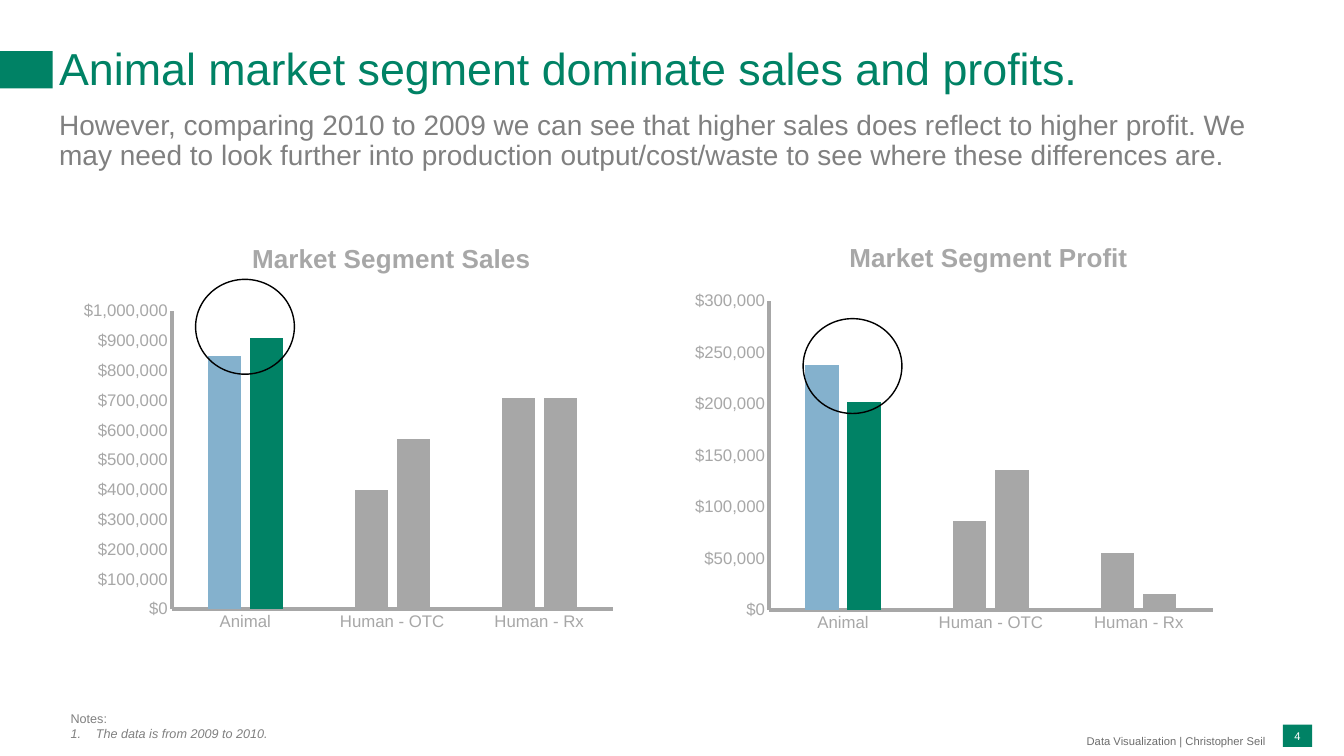
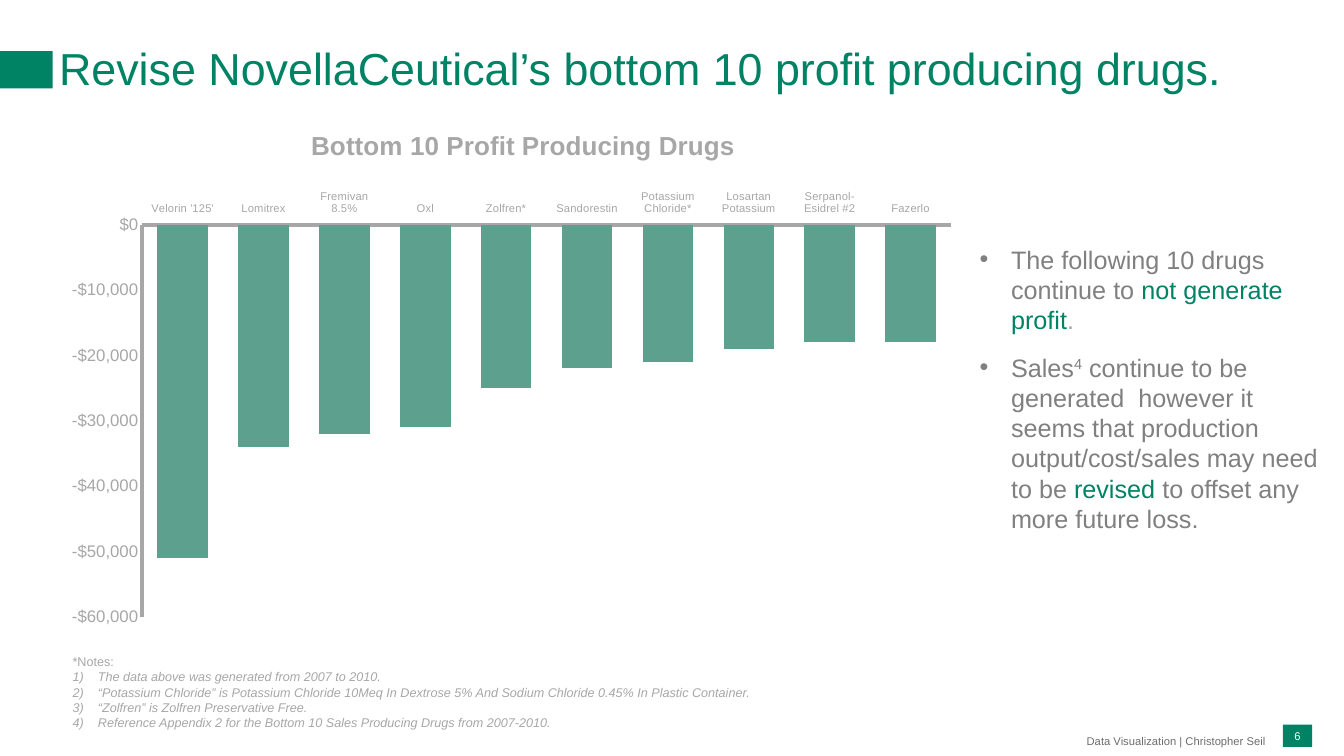
from lxml import etree
from pptx import Presentation
from pptx.chart.data import CategoryChartData
from pptx.dml.color import RGBColor
from pptx.enum.chart import XL_CHART_TYPE, XL_TICK_LABEL_POSITION, XL_TICK_MARK
from pptx.enum.shapes import MSO_SHAPE
from pptx.enum.text import MSO_ANCHOR, PP_ALIGN
from pptx.oxml.ns import qn
from pptx.util import Cm, Pt

COLUMNS = XL_CHART_TYPE.COLUMN_CLUSTERED
NO_TICKS = XL_TICK_MARK.NONE
LABELS_HIGH = XL_TICK_LABEL_POSITION.HIGH
RECTANGLE, OVAL = MSO_SHAPE.RECTANGLE, MSO_SHAPE.OVAL
MIDDLE, BOTTOM = MSO_ANCHOR.MIDDLE, MSO_ANCHOR.BOTTOM
CENTER, RIGHT = PP_ALIGN.CENTER, PP_ALIGN.RIGHT

GREEN = RGBColor(0x00, 0x82, 0x65)
SOFT_GREEN = RGBColor(0x5D, 0xA0, 0x8E)
BLUE = RGBColor(0x84, 0xB1, 0xCD)
LIGHT_GREY = RGBColor(0xA7, 0xA7, 0xA7)
GREY = RGBColor(0x80, 0x80, 0x80)
FOOTER_GREY = RGBColor(0x6D, 0x6D, 0x6D)
WHITE = RGBColor(0xFF, 0xFF, 0xFF)
BLACK = RGBColor(0x00, 0x00, 0x00)

FONT = "Arial"
FOOTER = "Data Visualization | Christopher Seil"
DOLLARS = '"$"#,##0'

SEGMENTS = ["Animal", "Human - OTC", "Human - Rx"]
SEGMENT_STYLE = dict(categories=SEGMENTS, label_size=12, gap=219, overlap=-27,
                     grid=True, highlight=0)
# Boxes are left, top, width, height in cm; plot and title spots are percent of the chart.
SALES_CHART = dict(
    SEGMENT_STYLE, title="Market Segment Sales", box=(1.83, 5.92, 13.89, 10.21),
    title_spot=(31.7, 0.5), plot_spot=(18, 18.8, 80, 73.6),
    scale=(0, 1000000, 100000),
    series=[("2009", BLUE, [850000, 400000, 710000]),
            ("2010", GREEN, [910000, 570000, 710000])])
PROFIT_CHART = dict(
    SEGMENT_STYLE, title="Market Segment Profit", box=(17.22, 5.66, 13.59, 10.46),
    title_spot=(29.9, 2.6), plot_spot=(15.9, 18.4, 82.3, 74.4),
    scale=(0, 300000, 50000),
    series=[("2009", BLUE, [238000, 86000, 55000]),
            ("2010", GREEN, [202000, 136000, 15000])])
DRUGS_CHART = dict(
    title="Bottom 10 Profit Producing Drugs", box=(1.32, 3.12, 23.11, 12.9),
    title_spot=(27.7, 0), plot_spot=(9.8, 19.7, 88.2, 76.6),
    scale=(-60000, 0, 10000), label_size=8, gap=60, overlap=57,
    categories=["Velorin '125'", "Lomitrex", "Fremivan 8.5%", "Oxl", "Zolfren*",
                "Sandorestin", "Potassium Chloride*", "Losartan Potassium",
                "Serpanol-Esidrel #2", "Fazerlo"],
    series=[("Profit", SOFT_GREEN, [-51000, -34000, -32000, -31000, -25000,
                                    -22000, -21000, -19000, -18000, -18000])])

SLIDES = [
    dict(
        number="4",
        title="Animal market segment dominate sales and profits.",
        subtitle="However, comparing 2010 to 2009 we can see that higher sales does "
                 "reflect to higher profit. We may need to look further into production "
                 "output/cost/waste to see where these differences are.",
        charts=[SALES_CHART, PROFIT_CHART],
        rings=[(4.93, 7.04), (20.24, 8.03)],
        notes=dict(heading="Notes:", box=(1.53, 17.79, 20.14, 1.02), color=GREY,
                   numbering="arabicPeriod", items=["The data is from 2009 to 2010."])),
    dict(
        number="6",
        title="Revise NovellaCeutical’s bottom 10 profit producing drugs.",
        charts=[DRUGS_CHART],
        notes=dict(heading="*Notes:", box=(1.58, 16.34, 24.36, 2.18), color=LIGHT_GREY,
                   numbering="arabicParenR",
                   items=["The data above was generated from 2007 to 2010.",
                          "“Potassium Chloride” is Potassium Chloride 10Meq In Dextrose 5% "
                          "And Sodium Chloride 0.45% In Plastic Container.",
                          "“Zolfren” is Zolfren Preservative Free.",
                          "Reference Appendix 2 for the Bottom 10 Sales Producing Drugs "
                          "from 2007-2010."]),
        findings=[
            [("The following 10 drugs continue to ", GREY), ("not generate profit", GREEN),
             (".", LIGHT_GREY)],
            [("Sales", GREY), ("4", GREY, 30000),
             (" continue to be generated  however it seems that production "
              "output/cost/sales may need to be", GREY),
             (" revised ", GREEN), ("to offset any more future loss.", GREY)]]),
]


def style_font(font, size, color, bold=False, italic=False):
    font.name, font.size, font.bold, font.italic = FONT, Pt(size), bold, italic
    font.color.rgb = color


def style_runs(paragraph, size, color, italic=False):
    for run in paragraph.runs:
        style_font(run.font, size, color, italic=italic)


def clear_margins(frame):
    frame.margin_left = frame.margin_top = frame.margin_right = frame.margin_bottom = 0


def add_text_frame(slide, box, wrap=True):
    frame = slide.shapes.add_textbox(*map(Cm, box)).text_frame
    frame.word_wrap = wrap
    return frame


def add_plain_shape(slide, kind, box, fill=None, line=None):
    shape = slide.shapes.add_shape(kind, *map(Cm, box))
    shape.shadow.inherit = False
    if fill is None:
        shape.fill.background()
    else:
        shape.fill.solid()
        shape.fill.fore_color.rgb = fill
    if line is None:
        shape.line.fill.background()
    else:
        shape.line.color.rgb = line
        shape.line.width = Pt(1)
    return shape


def add_marker(paragraph, indent, tag, **attributes):
    """Give the paragraph a hanging indent and a bullet or number."""
    properties = paragraph._p.get_or_add_pPr()
    properties.set("marL", str(Cm(indent)))
    properties.set("indent", str(-Cm(indent)))
    etree.SubElement(properties, qn("a:buFont"), typeface=FONT)
    etree.SubElement(properties, qn(tag), attributes)


def add_frame(slide, number):
    """Add the band, footer and page number that every slide carries."""
    footer = add_text_frame(slide, (21.44, 18.42, 10.46, 0.53), wrap=False)
    clear_margins(footer)
    footer.vertical_anchor = MIDDLE
    footer.text = FOOTER
    footer.paragraphs[0].alignment = RIGHT
    style_runs(footer.paragraphs[0], 8, FOOTER_GREY)

    add_plain_shape(slide, RECTANGLE, (0, 1.29, 1.33, 0.94), GREEN)
    page = add_plain_shape(slide, RECTANGLE, (32.33, 18.26, 0.74, 0.56), GREEN).text_frame
    clear_margins(page)
    page.word_wrap = False
    page.vertical_anchor = MIDDLE
    page.text = number
    page.paragraphs[0].alignment = CENTER
    style_runs(page.paragraphs[0], 8, WHITE)


def add_title(slide, title, subtitle=None):
    frame = add_text_frame(slide, (1.49, 1.19, 30.84, 3.33 if subtitle else 1.27))
    clear_margins(frame)
    frame.text = title
    heading = frame.paragraphs[0]
    heading.line_spacing = 0.9
    style_runs(heading, 32, GREEN)
    if subtitle:
        message = frame.add_paragraph()
        message.text = subtitle
        message.line_spacing = 0.9
        message.space_before = Pt(11)
        style_runs(message, 20, GREY)


def place_by_hand(parent, index, spot, inner=False):
    """Fix a chart part at percents of the chart: x, y and, if given, width, height."""
    layout = parent.find(qn("c:layout"))
    if layout is None:
        layout = etree.Element(qn("c:layout"))
        parent.insert(index, layout)
    manual = etree.SubElement(layout, qn("c:manualLayout"))
    settings = [("layoutTarget", "inner")] if inner else []
    settings += [("xMode", "edge"), ("yMode", "edge")]
    settings += [(name, str(percent / 100)) for name, percent in zip("xywh", spot)]
    for name, value in settings:
        etree.SubElement(manual, qn("c:" + name), val=value)


def style_axis(axis, size):
    axis.major_tick_mark = axis.minor_tick_mark = NO_TICKS
    axis.format.line.color.rgb = LIGHT_GREY
    axis.format.line.width = Pt(3)
    style_font(axis.tick_labels.font, size, LIGHT_GREY)
    # Level labels wrap instead of turning when space is short.
    axis._element.find(qn("c:txPr")).find(qn("a:bodyPr")).set("rot", "0")


def add_column_chart(slide, title, box, title_spot, plot_spot, scale, categories, series,
                     label_size, gap, overlap, grid=False, highlight=None):
    """Add a column chart; with a highlight, all other categories turn grey."""
    data = CategoryChartData()
    data.categories = categories
    for name, _, values in series:
        data.add_series(name, values)
    chart = slide.shapes.add_chart(COLUMNS, *map(Cm, box), data).chart
    style_font(chart.font, 10, LIGHT_GREY)
    chart.has_legend = False
    chart.has_title = True
    chart.chart_title.text_frame.text = title
    style_font(chart.chart_title.text_frame.paragraphs[0].runs[0].font, 18.6,
               LIGHT_GREY, bold=True)
    place_by_hand(chart.chart_title._element, 1, title_spot)
    place_by_hand(chart._chartSpace.chart.plotArea, 0, plot_spot, inner=True)

    style_axis(chart.category_axis, label_size)
    amounts = chart.value_axis
    style_axis(amounts, 12)
    amounts.minimum_scale, amounts.maximum_scale, amounts.major_unit = scale
    amounts.tick_labels.number_format = DOLLARS
    amounts.tick_labels.number_format_is_linked = False
    amounts.has_major_gridlines = grid
    if grid:
        amounts.major_gridlines.format.line.color.rgb = WHITE
        amounts.major_gridlines.format.line.width = Pt(0.75)
    if scale[0] < 0:
        chart.category_axis.tick_label_position = LABELS_HIGH

    plot = chart.plots[0]
    plot.gap_width, plot.overlap = gap, overlap
    plot.vary_by_categories = False
    for columns, (_, color, values) in zip(plot.series, series):
        columns.invert_if_negative = False
        columns.format.fill.solid()
        columns.format.fill.fore_color.rgb = color
        if highlight is None:
            continue
        for index in range(len(values)):
            if index != highlight:
                fill = columns.points[index].format.fill
                fill.solid()
                fill.fore_color.rgb = LIGHT_GREY


def add_notes(slide, heading, box, color, numbering, items):
    frame = add_text_frame(slide, box)
    frame.vertical_anchor = BOTTOM
    frame.text = heading
    style_runs(frame.paragraphs[0], 9, color)
    for item in items:
        note = frame.add_paragraph()
        note.text = item
        style_runs(note, 9, color, italic=True)
        add_marker(note, 0.64, "a:buAutoNum", type=numbering)


def add_findings(slide, findings):
    frame = add_text_frame(slide, (24.44, 6.02, 9.09, 7.8))
    for index, pieces in enumerate(findings):
        finding = frame.add_paragraph() if index else frame.paragraphs[0]
        finding.space_before = Pt(12.5 if index else 0)
        add_marker(finding, 0.79, "a:buChar", char="•")
        for text, color, *baseline in pieces:
            run = finding.add_run()
            run.text = text
            style_font(run.font, 18, color)
            if baseline:
                run.font._element.set("baseline", str(baseline[0]))


def main():
    deck = Presentation()
    deck.slide_width, deck.slide_height = Cm(33.87), Cm(19.05)
    for content in SLIDES:
        slide = deck.slides.add_slide(deck.slide_layouts[6])
        add_frame(slide, content["number"])
        add_title(slide, content["title"], content.get("subtitle"))
        for chart in content["charts"]:
            add_column_chart(slide, **chart)
        add_notes(slide, **content["notes"])
        if "findings" in content:
            add_findings(slide, content["findings"])
        for left, top in content.get("rings", []):
            add_plain_shape(slide, OVAL, (left, top, 2.49, 2.39), line=BLACK)
    deck.save("out.pptx")


if __name__ == "__main__":
    main()
